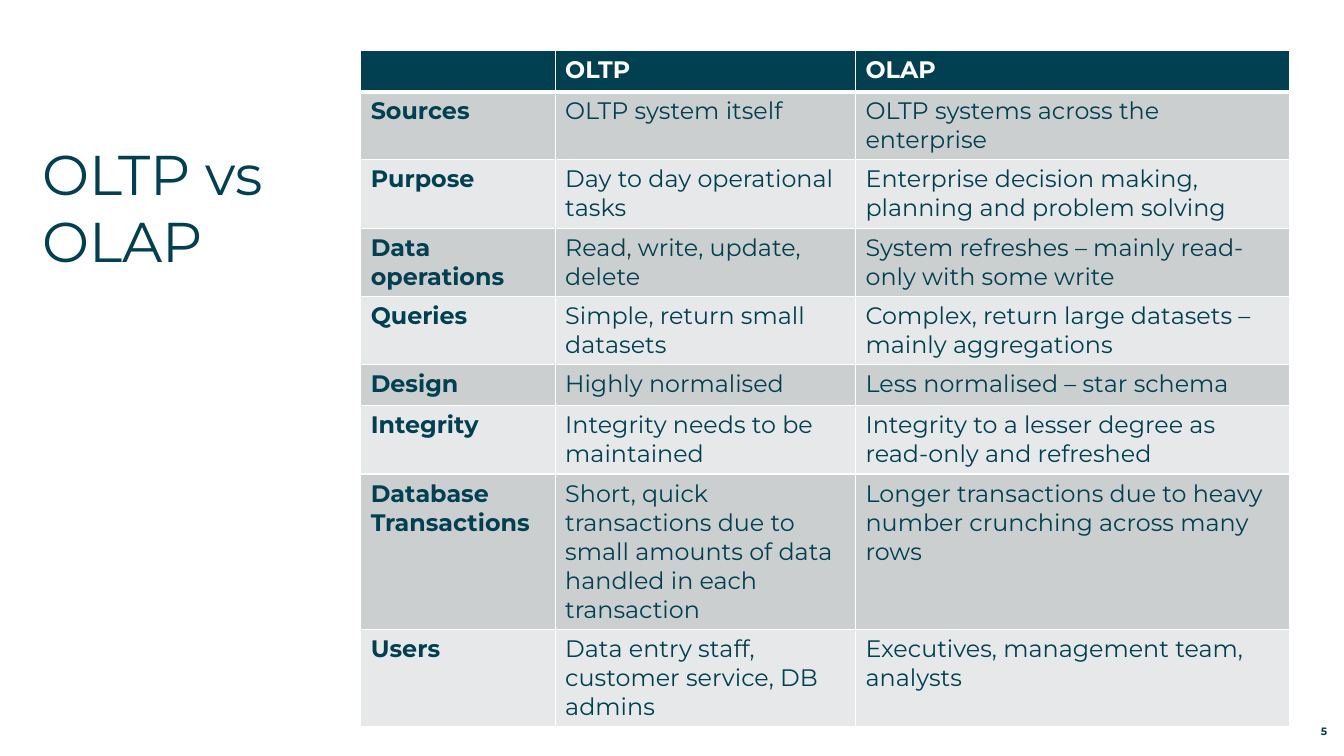
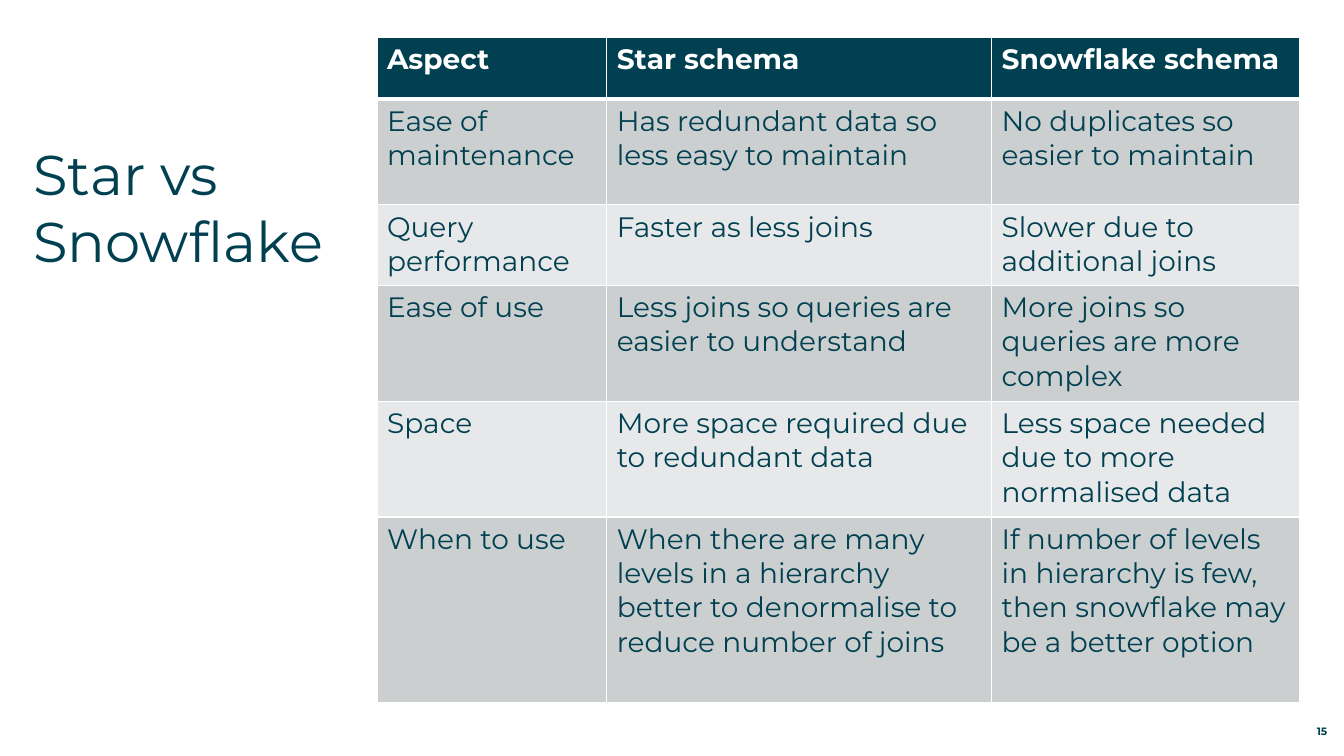
from dataclasses import dataclass

from lxml.etree import SubElement
from pptx import Presentation
from pptx.dml.color import RGBColor
from pptx.enum.text import MSO_ANCHOR as Anchor, MSO_AUTO_SIZE as AutoSize, PP_ALIGN as Align
from pptx.oxml.ns import qn
from pptx.util import Cm, Pt

COLOURS = {
    "ink": "004050",
    "paper": "FFFFFF",
    "band_dark": "CCCFD0",
    "band_light": "E7E8E9",
}
FONT = "Montserrat"
THIN, THICK = 1, 3  # border widths in points
TITLE_ONLY = 5


@dataclass(frozen=True)
class ComparisonSlide:
    """One comparison page; lengths are in centimetres."""
    title: str
    title_left: float
    title_width: float
    number: int
    table_left: float
    table_top: float
    column_widths: tuple[float, ...]
    row_heights: tuple[float, ...]
    font_size: float
    bold_labels: bool
    rows: tuple[tuple[str, ...], ...]


OLTP_ROWS = (
    ("", "OLTP", "OLAP"),
    ("Sources", "OLTP system itself", "OLTP systems across the enterprise"),
    ("Purpose", "Day to day operational tasks",
     "Enterprise decision making, planning and problem solving"),
    ("Data operations", "Read, write, update, delete",
     "System refreshes – mainly read-only with some write"),
    ("Queries", "Simple, return small datasets",
     "Complex, return large datasets – mainly aggregations"),
    ("Design", "Highly normalised", "Less normalised – star schema"),
    ("Integrity", "Integrity needs to be maintained",
     "Integrity to a lesser degree as read-only and refreshed"),
    ("Database Transactions",
     "Short, quick transactions due to small amounts of data handled in each transaction",
     "Longer transactions due to heavy number crunching across many rows"),
    ("Users", "Data entry staff, customer service, DB admins",
     "Executives, management team, analysts"),
)

SCHEMA_ROWS = (
    ("Aspect", "Star schema", "Snowflake schema"),
    ("Ease of maintenance", "Has redundant data so less easy to maintain",
     "No duplicates so easier to maintain"),
    ("Query performance", "Faster as less joins", "Slower due to additional joins"),
    ("Ease of use", "Less joins so queries are easier to understand",
     "More joins so queries are more complex"),
    ("Space", "More space required due to redundant data",
     "Less space needed due to more normalised data"),
    ("When to use",
     "When there are many levels in a hierarchy better to denormalise to reduce number of joins",
     "If number of levels in hierarchy is few, then snowflake may be a better option"),
)

SLIDES = (
    ComparisonSlide("OLTP vs OLAP", 1.07, 7.01, 5, 9.09, 1.27, (4.9, 7.57, 10.95),
                    (1.04,) * len(OLTP_ROWS), 17, True, OLTP_ROWS),
    ComparisonSlide("Star vs Snowflake", 0.84, 8.2, 15, 9.5, 0.94, (5.79, 9.7, 7.75),
                    (1.55, 2.67, 2.03, 2.92, 2.92, 4.67), 20, False, SCHEMA_ROWS),
)


def colour(name: str) -> RGBColor:
    return RGBColor.from_string(COLOURS[name])


def style_paragraph(paragraph, size: float, colour_name: str = "ink", bold: bool = False,
                    align: Align = Align.LEFT) -> None:
    paragraph.alignment = align
    font = paragraph.font
    font.name, font.size, font.bold = FONT, Pt(size), bold
    font.color.rgb = colour(colour_name)


def prepare_frame(text_frame, anchor: Anchor) -> None:
    """Wrap the text and drop the insets."""
    text_frame.word_wrap = True
    text_frame.auto_size = AutoSize.NONE
    text_frame.vertical_anchor = anchor
    text_frame.margin_left = text_frame.margin_right = 0
    text_frame.margin_top = text_frame.margin_bottom = 0


def add_title(slide, page: ComparisonSlide) -> None:
    title = slide.shapes.title
    title.left, title.top = Cm(page.title_left), Cm(3.51)
    title.width, title.height = Cm(page.title_width), Cm(7.29)
    title.text_frame.text = page.title
    prepare_frame(title.text_frame, Anchor.TOP)
    style_paragraph(title.text_frame.paragraphs[0], 40)


def add_page_number(slide, number: int) -> None:
    box = slide.shapes.add_textbox(Cm(31.27), Cm(18.08), Cm(2.18), Cm(0.51))
    box.text_frame.text = str(number)
    prepare_frame(box.text_frame, Anchor.BOTTOM)
    style_paragraph(box.text_frame.paragraphs[0], 7.6, bold=True, align=Align.RIGHT)


def set_borders(cell, top: float, bottom: float) -> None:
    """Draw the white grid lines; these must come before the cell's fill."""
    properties = cell._tc.get_or_add_tcPr()
    for side, width in (("L", THIN), ("R", THIN), ("T", top), ("B", bottom)):
        line = SubElement(properties, qn(f"a:ln{side}"), w=str(Pt(width)))
        fill = SubElement(line, qn("a:solidFill"))
        SubElement(fill, qn("a:srgbClr"), val=COLOURS["paper"])


def add_comparison_table(slide, page: ComparisonSlide) -> None:
    frame = slide.shapes.add_table(
        len(page.rows), len(page.column_widths), Cm(page.table_left), Cm(page.table_top),
        Cm(sum(page.column_widths)), Cm(sum(page.row_heights)))
    table = frame.table
    for column, width in zip(table.columns, page.column_widths):
        column.width = Cm(width)
    for row, height in zip(table.rows, page.row_heights):
        row.height = Cm(height)

    for row_index, texts in enumerate(page.rows):
        is_header = row_index == 0
        band = "ink" if is_header else ("band_light", "band_dark")[row_index % 2]
        for column_index, text in enumerate(texts):
            cell = table.cell(row_index, column_index)
            cell.text = text
            set_borders(cell, top=THICK if row_index == 1 else THIN,
                        bottom=THICK if is_header else THIN)
            cell.fill.solid()
            cell.fill.fore_color.rgb = colour(band)
            style_paragraph(cell.text_frame.paragraphs[0], page.font_size,
                            "paper" if is_header else "ink",
                            is_header or (page.bold_labels and column_index == 0))


def main() -> None:
    presentation = Presentation()
    presentation.slide_width, presentation.slide_height = Cm(33.87), Cm(19.05)
    for page in SLIDES:
        slide = presentation.slides.add_slide(presentation.slide_layouts[TITLE_ONLY])
        add_title(slide, page)
        add_page_number(slide, page.number)
        add_comparison_table(slide, page)
    presentation.save("out.pptx")


if __name__ == "__main__":
    main()
